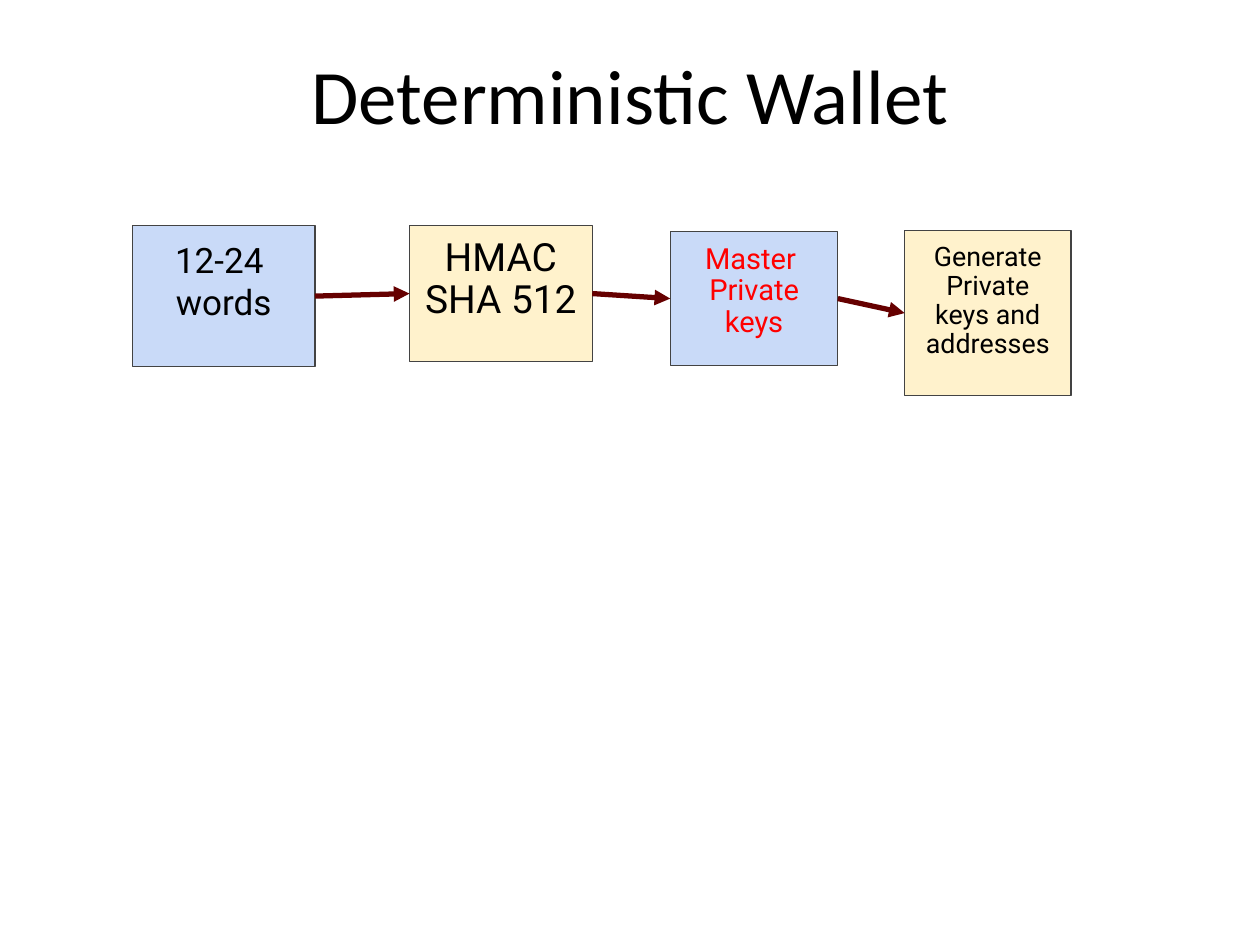
from lxml import etree
from pptx import Presentation
from pptx.dml.color import RGBColor
from pptx.enum.shapes import MSO_CONNECTOR, MSO_SHAPE
from pptx.enum.text import MSO_ANCHOR, PP_ALIGN
from pptx.oxml.ns import qn
from pptx.util import Inches, Pt

RECTANGLE = MSO_SHAPE.RECTANGLE
STRAIGHT = MSO_CONNECTOR.STRAIGHT
CENTER = PP_ALIGN.CENTER
TOP, MIDDLE = MSO_ANCHOR.TOP, MSO_ANCHOR.MIDDLE
LEFT_SITE, RIGHT_SITE = 1, 3

BLUE, CREAM = "C9DAF8", "FFF2CC"
BLACK, RED = "000000", "FF0000"
OUTLINE, ARROW = "434343", "660000"

TITLE = "Deterministic Wallet"
# paragraphs, (left, top, width, height), fill, text colour, size, line spacing
STEPS = [
    (["12-24 ", "words"], (1.05, 1.79, 1.45, 1.12), BLUE, BLACK, 20, 1.0),
    (["HMAC SHA 512"], (3.25, 1.79, 1.45, 1.08), CREAM, BLACK, 22.2, 0.9),
    (["Master ", "Private keys"], (5.32, 1.84, 1.33, 1.06), BLUE, RED, 16.6, 0.9),
    (["Generate", "Private keys and addresses"], (7.18, 1.83, 1.32, 1.31),
     CREAM, BLACK, 15.3, 0.9),
]


def color(hex_string):
    return RGBColor.from_string(hex_string)


def write(text_frame, lines, font_name, size, text_color, spacing, anchor):
    text_frame.word_wrap = True
    text_frame.vertical_anchor = anchor
    text_frame.text = "\n".join(lines)
    for paragraph in text_frame.paragraphs:
        paragraph.alignment = CENTER
        paragraph.line_spacing = spacing
        paragraph.font.name = font_name
        paragraph.font.size = Pt(size)
        paragraph.font.color.rgb = color(text_color)


def add_step(slide, lines, box, fill, text_color, size, spacing):
    shape = slide.shapes.add_shape(RECTANGLE, *map(Inches, box))
    shape.shadow.inherit = False
    shape.fill.solid()
    shape.fill.fore_color.rgb = color(fill)
    shape.line.color.rgb = color(OUTLINE)
    shape.line.width = Pt(0.75)
    frame = shape.text_frame
    frame.margin_left = frame.margin_right = Inches(0.1)
    frame.margin_top = frame.margin_bottom = Inches(0.1)
    write(frame, lines, "Roboto", size, text_color, spacing, TOP)
    return shape


def add_arrow(slide, source, target):
    connector = slide.shapes.add_connector(STRAIGHT, 0, 0, 0, 0)
    connector.begin_connect(source, RIGHT_SITE)
    connector.end_connect(target, LEFT_SITE)
    connector.line.color.rgb = color(ARROW)
    connector.line.width = Pt(3)
    line = connector.line._get_or_add_ln()
    etree.SubElement(line, qn("a:tailEnd"), type="triangle")
    etree.SubElement(connector._element.spPr, qn("a:effectLst"))


def main():
    presentation = Presentation()
    presentation.slide_width = Inches(10)
    presentation.slide_height = Inches(7.5)
    slide = presentation.slides.add_slide(presentation.slide_layouts[5])

    title = slide.shapes.title
    title.left, title.top = Inches(0.5), Inches(0.27)
    title.width, title.height = Inches(9), Inches(0.95)
    write(title.text_frame, [TITLE], "Calibri", 44, BLACK, 1.0, MIDDLE)

    boxes = [add_step(slide, *step) for step in STEPS]
    for source, target in zip(boxes, boxes[1:]):
        add_arrow(slide, source, target)

    presentation.save("out.pptx")


if __name__ == "__main__":
    main()
